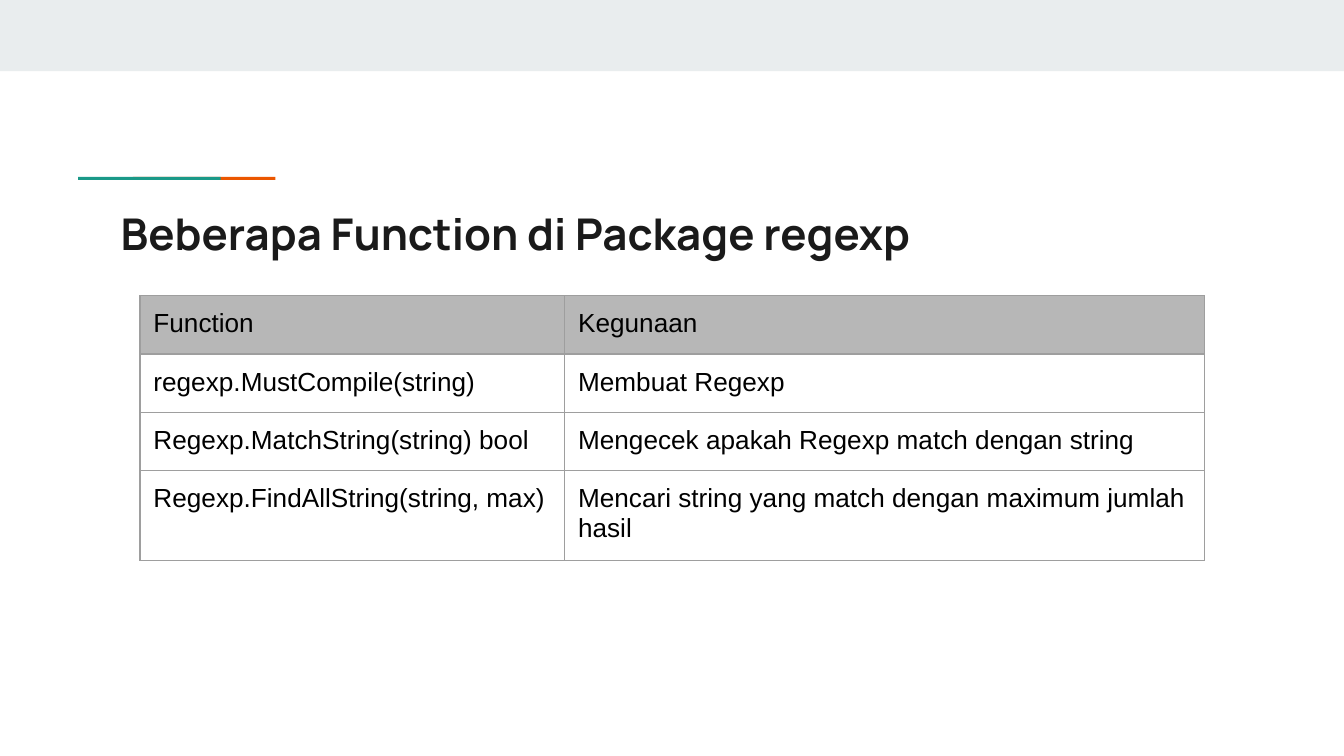
"""Build a slide with a table of regexp package functions."""
import pptx
import pptx.dml.color
import pptx.enum.shapes
import pptx.enum.text
import pptx.oxml
import pptx.oxml.ns
import pptx.util

Pt = pptx.util.Pt
RGBColor = pptx.dml.color.RGBColor

TITLE = "Beberapa Function di Package regexp"
ROWS = [
    ("Function", "Kegunaan"),
    ("regexp.MustCompile(string)", "Membuat Regexp"),
    ("Regexp.MatchString(string) bool", "Mengecek apakah Regexp match dengan string"),
    ("Regexp.FindAllString(string, max)", "Mencari string yang match dengan maximum jumlah hasil"),
]
COLUMN_WIDTHS = (227.5, 342.7)
ROW_HEIGHTS = (30.1, 30.1, 30.1, 46)
TABLE_LEFT, TABLE_TOP = 75, 158.4
INSET = 7.2

BAND = RGBColor(0xE9, 0xED, 0xEE)
ORANGE = RGBColor(0xEB, 0x56, 0x00)
TEAL = RGBColor(0x1A, 0x99, 0x88)
INK = RGBColor(0x1A, 0x1A, 0x1A)
BLACK = RGBColor(0, 0, 0)
HEADER = RGBColor(0xB7, 0xB7, 0xB7)
BORDER = RGBColor(0x9E, 0x9E, 0x9E)

BARS = [
    (0, 0, 720, 38.2, BAND),
    (71.2, 94.8, 76.3, 1.6, ORANGE),
    (41.9, 94.8, 76.3, 1.6, TEAL),
]


def add_bar(slide, left, top, width, height, color):
    bar = slide.shapes.add_shape(
        pptx.enum.shapes.MSO_SHAPE.RECTANGLE, Pt(left), Pt(top), Pt(width), Pt(height))
    bar.shadow.inherit = False
    bar.fill.solid()
    bar.fill.fore_color.rgb = color
    bar.line.fill.background()


def set_insets(target):
    target.margin_left = target.margin_right = Pt(INSET)
    target.margin_top = target.margin_bottom = Pt(INSET)


def style_paragraph(paragraph, font_name, size, color, bold=False):
    paragraph.font.name = font_name
    paragraph.font.size = Pt(size)
    paragraph.font.color.rgb = color
    paragraph.font.bold = bold


def add_title(slide):
    title = slide.shapes.add_textbox(Pt(57.6), Pt(103.7), Pt(605.5), Pt(42.5))
    frame = title.text_frame
    frame.word_wrap = True
    frame.vertical_anchor = pptx.enum.text.MSO_ANCHOR.TOP
    set_insets(frame)
    frame.text = TITLE
    style_paragraph(frame.paragraphs[0], "Manrope", 23.4, INK, True)


def set_borders(cell):
    properties = cell._tc.get_or_add_tcPr()
    for index, side in enumerate(("lnL", "lnR", "lnT", "lnB")):
        properties.insert(index, pptx.oxml.parse_xml(
            f'<a:{side} {pptx.oxml.ns.nsdecls("a")} w="{Pt(0.75)}">'
            f'<a:solidFill><a:srgbClr val="{BORDER}"/></a:solidFill></a:{side}>'))


def add_function_table(slide):
    table = slide.shapes.add_table(
        len(ROWS), len(COLUMN_WIDTHS), Pt(TABLE_LEFT), Pt(TABLE_TOP),
        Pt(sum(COLUMN_WIDTHS)), Pt(sum(ROW_HEIGHTS))).table
    table.horz_banding = False
    for column, width in zip(table.columns, COLUMN_WIDTHS):
        column.width = Pt(width)
    for row_index, texts in enumerate(ROWS):
        table.rows[row_index].height = Pt(ROW_HEIGHTS[row_index])
        for column_index, text in enumerate(texts):
            cell = table.cell(row_index, column_index)
            cell.text = text
            set_insets(cell)
            style_paragraph(cell.text_frame.paragraphs[0], "Arial", 14, BLACK)
            if row_index == 0:
                cell.fill.solid()
                cell.fill.fore_color.rgb = HEADER
            else:
                cell.fill.background()
            set_borders(cell)


def main():
    presentation = pptx.Presentation()
    presentation.slide_width, presentation.slide_height = Pt(720), Pt(405)
    slide = presentation.slides.add_slide(presentation.slide_layouts[6])
    for bar in BARS:
        add_bar(slide, *bar)
    add_title(slide)
    add_function_table(slide)
    presentation.save("out.pptx")


if __name__ == "__main__":
    main()
